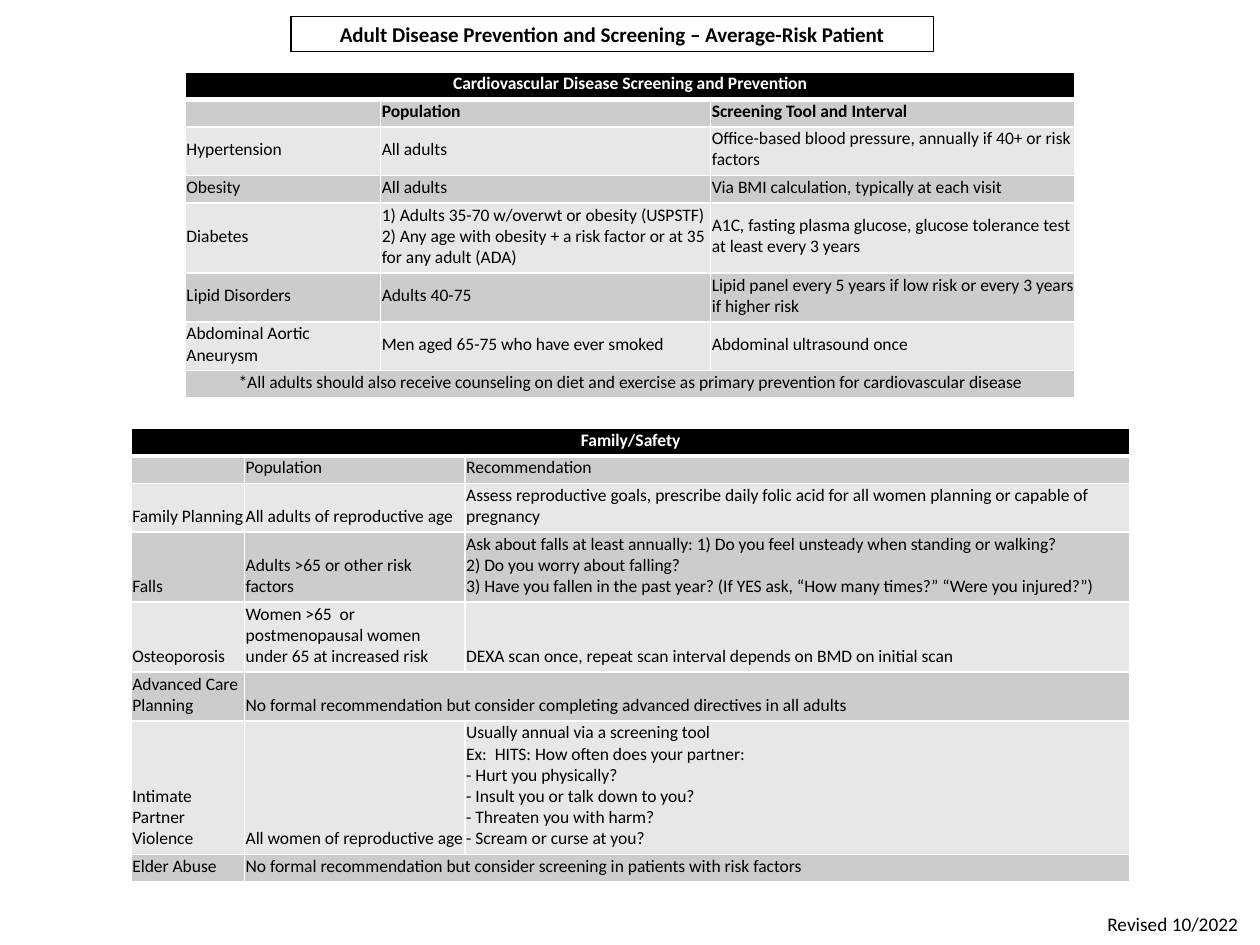
from copy import deepcopy

from pptx import Presentation
from pptx.dml.color import RGBColor
from pptx.enum.text import MSO_ANCHOR, MSO_AUTO_SIZE, PP_ALIGN
from pptx.oxml import parse_xml
from pptx.oxml.ns import nsdecls, qn
from pptx.util import Inches, Pt

BLACK = RGBColor(0x00, 0x00, 0x00)
WHITE = RGBColor(0xFF, 0xFF, 0xFF)
DARK_BAND = RGBColor(0xCC, 0xCC, 0xCC)
LIGHT_BAND = RGBColor(0xE7, 0xE7, 0xE7)
LEFT, CENTER = PP_ALIGN.LEFT, PP_ALIGN.CENTER
MIDDLE, BOTTOM = MSO_ANCHOR.MIDDLE, MSO_ANCHOR.BOTTOM
NO_AUTOFIT = MSO_AUTO_SIZE.NONE
FONT = "Calibri"

# In a row, None joins the cell to its left neighbour.
# A tuple holds paragraphs, and a newline is a line break.
CARDIO_ROWS = [
    ["Cardiovascular Disease Screening and Prevention", None, None],
    ["", "Population", "Screening Tool and Interval"],
    ["Hypertension", "All adults",
     "Office-based blood pressure, annually if 40+ or risk factors"],
    ["Obesity", "All adults", "Via BMI calculation, typically at each visit"],
    ["Diabetes",
     ("1) Adults 35-70 w/overwt or obesity (USPSTF)",
      "2) Any age with obesity + a risk factor or at 35 for any adult (ADA)"),
     "A1C, fasting plasma glucose, glucose tolerance test at least every 3 years"],
    ["Lipid Disorders", "Adults 40-75",
     "Lipid panel every 5 years if low risk or every 3 years if higher risk"],
    ["Abdominal Aortic Aneurysm", "Men aged 65-75 who have ever smoked",
     "Abdominal ultrasound once"],
    ["*All adults should also receive counseling on diet and exercise as "
     "primary prevention for cardiovascular disease", None, None],
]
FAMILY_ROWS = [
    ["Family/Safety", None, None],
    ["", "Population", "Recommendation"],
    ["Family Planning", "All adults of reproductive age",
     "Assess reproductive goals, prescribe daily folic acid for all women "
     "planning or capable of pregnancy"],
    ["Falls", "Adults >65 or other risk factors",
     "Ask about falls at least annually: 1) Do you feel unsteady when standing "
     "or walking?\n2) Do you worry about falling?\n3) Have you fallen in the past "
     "year? (If YES ask, “How many times?” “Were you injured?”)"],
    ["Osteoporosis",
     "Women >65  or postmenopausal women under 65 at increased risk",
     "DEXA scan once, repeat scan interval depends on BMD on initial scan"],
    ["Advanced Care Planning",
     "No formal recommendation but consider completing advanced directives "
     "in all adults", None],
    ["Intimate Partner Violence", "All women of reproductive age",
     ("Usually annual via a screening tool",
      "Ex:  HITS: How often does your partner:\n- Hurt you physically?\n"
      "- Insult you or talk down to you?\n- Threaten you with harm?\n"
      "- Scream or curse at you?")],
    ["Elder Abuse",
     "No formal recommendation but consider screening in patients with "
     "risk factors", None],
]


def write_text(tf, text, size=10, color=BLACK, bold=False, align=LEFT):
    """Fill a text frame; a tuple gives one paragraph per item."""
    for i, line in enumerate(text if isinstance(text, tuple) else (text,)):
        p = tf.paragraphs[0] if i == 0 else tf.add_paragraph()
        p.text = line
        p.alignment = align
        for r in p.runs:
            r.font.name, r.font.size, r.font.bold = FONT, Pt(size), bold
            r.font.color.rgb = color
        # Line breaks and empty paragraphs need the size as well
        for br in p._p.findall(qn("a:br")):
            br.append(deepcopy(p.runs[0].font._element))
        if not line:
            p._p.get_or_add_endParaRPr().set("sz", str(size * 100))


class ScreeningSlide:
    def __init__(self, prs):
        self.s = prs.slides.add_slide(prs.slide_layouts[5])

    def title(self, text, x, y, w, h):
        sp = self.s.shapes.title
        sp.left, sp.top, sp.width, sp.height = map(Inches, (x, y, w, h))
        sp.fill.solid()
        sp.fill.fore_color.rgb = WHITE
        sp.line.color.rgb = BLACK
        sp.line.width = Pt(1)
        tf = sp.text_frame
        tf.auto_size = NO_AUTOFIT
        tf.vertical_anchor = MIDDLE
        tf.margin_left = tf.margin_right = Inches(0.07)
        tf.margin_top = tf.margin_bottom = Inches(0.04)
        write_text(tf, text, size=12, bold=True, align=CENTER)

    def textbox(self, text, x, y, w, h, **fmt):
        tf = self.s.shapes.add_textbox(*map(Inches, (x, y, w, h))).text_frame
        tf.word_wrap = True
        write_text(tf, text, **fmt)

    def borders(self, cell, bottom):
        tcPr = cell._tc.get_or_add_tcPr()
        for side, width in (("L", 1), ("R", 1), ("T", 1), ("B", bottom)):
            tcPr.append(parse_xml(
                f'<a:ln{side} {nsdecls("a")} w="{Pt(width)}"><a:solidFill>'
                f'<a:srgbClr val="{WHITE}"/></a:solidFill></a:ln{side}>'))

    def table(self, rows, x, y, col_widths, row_heights, anchor, bold_heads):
        tbl = self.s.shapes.add_table(
            len(rows), len(col_widths), Inches(x), Inches(y),
            Inches(sum(col_widths)), Inches(sum(row_heights))).table
        for col, width in zip(tbl.columns, col_widths):
            col.width = Inches(width)
        for row, height in zip(tbl.rows, row_heights):
            row.height = Inches(height)

        for i, row in enumerate(rows):
            header = i == 0
            fill = BLACK if header else DARK_BAND if i % 2 else LIGHT_BAND
            full_width = row[1] is None
            for j, text in enumerate(row):
                cell = tbl.cell(i, j)
                cell.vertical_anchor = anchor
                cell.margin_left = cell.margin_right = Inches(0.01)
                cell.margin_top, cell.margin_bottom = Inches(0.01), Inches(0.04)
                self.borders(cell, bottom=3 if header else 1)
                cell.fill.solid()
                cell.fill.fore_color.rgb = fill
                write_text(cell.text_frame, text or "",
                           color=WHITE if header else BLACK,
                           bold=header or (i == 1 and bold_heads),
                           align=CENTER if full_width else LEFT)
            # Join the empty cells at the end of the row
            if None in row:
                tbl.cell(i, row.index(None) - 1).merge(tbl.cell(i, len(row) - 1))


def main():
    prs = Presentation()
    prs.slide_width, prs.slide_height = Inches(10), Inches(7.5)
    slide = ScreeningSlide(prs)

    # Cardiovascular table
    slide.table(CARDIO_ROWS, 1.47, 0.57, [1.55, 2.62, 2.89],
                [0.18] * 4 + [0.46] + [0.18] * 3, MIDDLE, bold_heads=True)
    # Family and safety table
    slide.table(FAMILY_ROWS, 1.04, 3.4, [0.9, 1.75, 5.28],
                [0.18] * 3 + [0.46, 0.32, 0.32, 0.87, 0.18], BOTTOM,
                bold_heads=False)
    # Title and revision date
    slide.title("Adult Disease Prevention and Screening – Average-Risk Patient",
                2.31, 0.13, 5.1, 0.28)
    slide.textbox("Revised 10/2022", 8.69, 7.19, 1.31, 0.29, size=11)

    prs.save("out.pptx")


if __name__ == "__main__":
    main()
